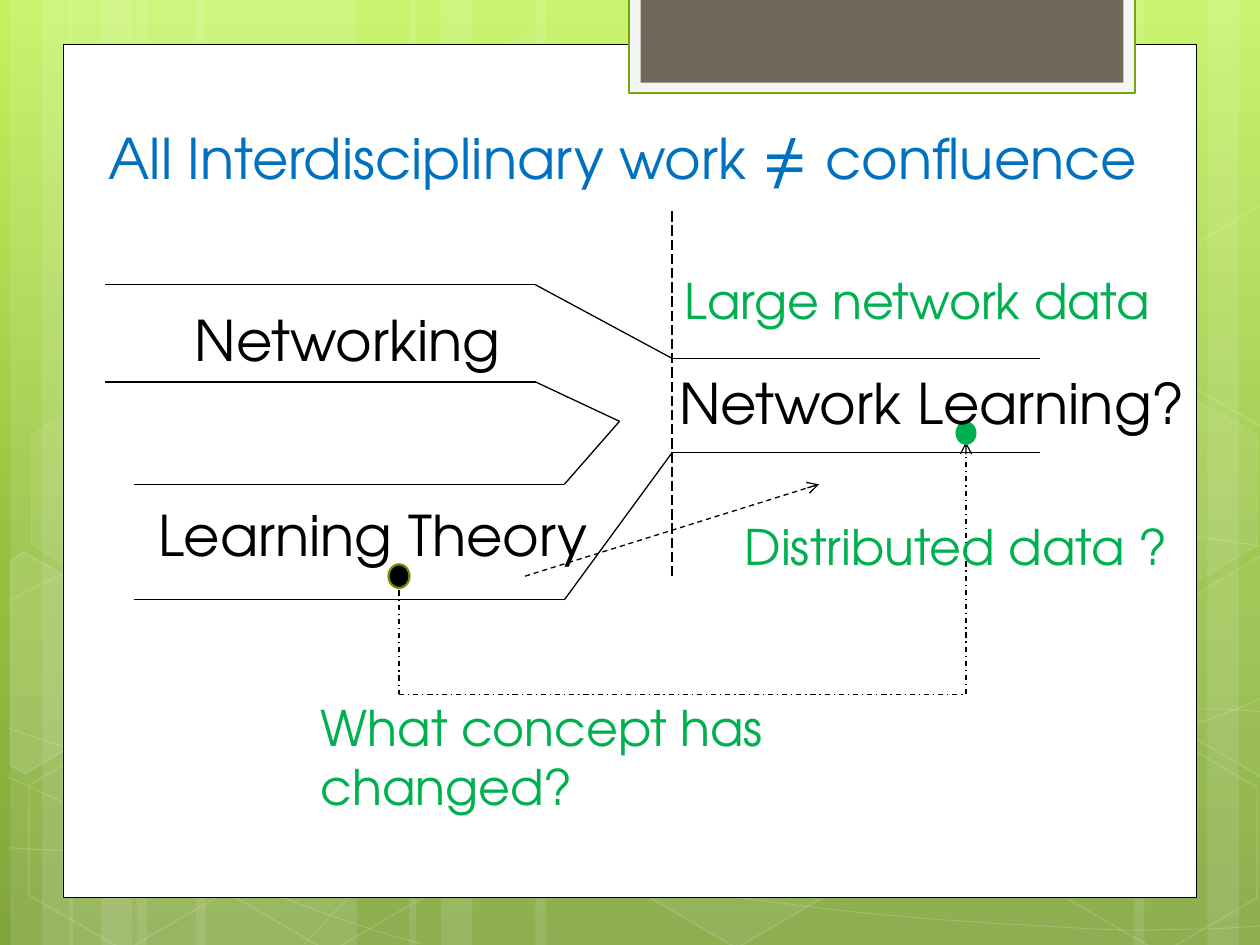
import dataclasses
import itertools
import math

import lxml.etree
import pptx
import pptx.dml.color
import pptx.enum.dml
import pptx.enum.shapes
import pptx.enum.text
import pptx.oxml.ns
import pptx.util

SCALE = pptx.util.Inches(1) // 96
SHAPE = pptx.enum.shapes.MSO_SHAPE
DASH = pptx.enum.dml.MSO_LINE


@dataclasses.dataclass(frozen=True)
class Theme:
    """Colours, type sizes and line widths of the deck."""

    white: str = "FFFFFF"
    black: str = "000000"
    green: str = "00B050"
    blue: str = "0070C0"
    mount: str = "F5F5F5"
    mount_edge: str = "74A510"
    tab: str = "71685A"
    dot_edge: str = "6D9200"
    sky: tuple = ((0, "C3F35F"), (62, "93BF3F"), (100, "81A53E"))
    font: str = "TeX Gyre Adventor"
    large: int = 32
    small: int = 28
    symbol: int = 36
    hair: float = 0.5
    rule: float = 0.75
    glass: float = 1
    edge: float = 1.25


@dataclasses.dataclass(frozen=True)
class Box:
    """A region in px that turns its own coordinates into EMU."""

    left: int
    top: int
    width: int
    height: int

    def point(self, x, y):
        """Return a point of the region in EMU."""
        return round((self.left + x) * SCALE), round((self.top + y) * SCALE)

    def area(self, x, y, width, height):
        """Return a rectangle of the region in EMU."""
        return *self.point(x, y), width * SCALE, height * SCALE

    def whole(self):
        """Return the entire region in EMU."""
        return self.area(0, 0, self.width, self.height)


THEME = Theme()


def add_node(parent, tag, **values):
    """Append one drawing element to a parent."""
    return lxml.etree.SubElement(parent, pptx.oxml.ns.qn(tag), values)


def paint(fill, color, alpha=100):
    """Give a fill a solid colour with an opacity in percent."""
    fill.solid()
    fill.fore_color.rgb = pptx.dml.color.RGBColor.from_string(color)
    if alpha < 100:
        node = fill._xPr.find(".//" + pptx.oxml.ns.qn("a:srgbClr"))
        add_node(node, "a:alpha", val=str(alpha * 1000))


def dress(shape, fill=None, fill_alpha=100, line=None, width=1, line_alpha=100):
    """Set the fill and outline of a shape and drop its shadow."""
    shape.shadow.inherit = False
    for part, color, alpha in ((shape.fill, fill, fill_alpha), (shape.line.fill, line, line_alpha)):
        if color:
            paint(part, color, alpha)
        else:
            part.background()
    if line:
        shape.line.width = pptx.util.Pt(width)


def add_outline(page, box, points, closed=False):
    """Draw a freeform through the points of a box."""
    start, *rest = [box.point(*point) for point in points]
    builder = page.shapes.build_freeform(*start)
    builder.add_line_segments(rest, close=closed)
    return builder.convert_to_shape()


def bend(shape):
    """Turn each three straight segments of a freeform into one cubic curve."""
    segments = list(shape.element.iter(pptx.oxml.ns.qn("a:lnTo")))
    for first in range(0, len(segments), 3):
        curve = add_node(segments[first].getparent(), "a:cubicBezTo")
        for segment in segments[first:first + 3]:
            curve.append(segment[0])
            segment.getparent().remove(segment)


def turn(points, pivot, degrees):
    """Rotate points clockwise about a pivot."""
    sine, cosine = math.sin(math.radians(degrees)), math.cos(math.radians(degrees))
    offsets = [(x - pivot[0], y - pivot[1]) for x, y in points]
    return [(pivot[0] + x * cosine - y * sine, pivot[1] + x * sine + y * cosine) for x, y in offsets]


def add_route(page, box, points, dash=None, arrow=False):
    """Join points with straight connectors, the last with an arrowhead on request."""
    for start, end in itertools.pairwise(points):
        link = page.shapes.add_connector(
            pptx.enum.shapes.MSO_CONNECTOR.STRAIGHT, *box.point(*start), *box.point(*end))
        paint(link.line.fill, THEME.black)
        link.line.width = pptx.util.Pt(THEME.rule)
        if dash:
            link.line.dash_style = dash
        if arrow and end == points[-1]:
            add_node(link.line._get_or_add_ln(), "a:tailEnd", type="arrow")
        add_node(link.element.spPr, "a:effectLst")


def write(shape, spans, color, wrap, indent=0):
    """Fill a shape with one left-aligned paragraph of sized spans."""
    layout = {"word_wrap": wrap, "auto_size": pptx.enum.text.MSO_AUTO_SIZE.NONE,
              "vertical_anchor": pptx.enum.text.MSO_ANCHOR.TOP}
    for name, value in layout.items():
        setattr(shape.text_frame, name, value)
    para = shape.text_frame.paragraphs[0]
    para.alignment = pptx.enum.text.PP_ALIGN.LEFT
    if indent:
        para._p.get_or_add_pPr().set("marL", str(indent * SCALE))
    for text, size in spans:
        span = para.add_run()
        span.text = text
        for name, value in {"name": THEME.font, "size": pptx.util.Pt(size)}.items():
            setattr(span.font, name, value)
        paint(span.font.fill, color)


def draw_background(page):
    """Fill the page with the vertical green gradient."""
    fill = page.background.fill
    fill.gradient()
    fill.gradient_angle = 270
    stops = page.element.find(".//" + pptx.oxml.ns.qn("a:gsLst"))
    stops.clear()
    for place, color in THEME.sky:
        add_node(add_node(stops, "a:gs", pos=str(place * 1000)), "a:srgbClr", val=color)


def draw_bands(page, box):
    """Lay translucent vertical bands over the box."""
    bands = ((104, 168), (8, 48), (32, 80), (149, 168), (53, 48), (77, 80),
             (704, 168), (920, 48), (864, 80), (408, 296), (312, 48), (336, 80))
    for left, width in bands:
        band = page.shapes.add_shape(SHAPE.RECTANGLE, *box.area(left, 0, width, box.height))
        dress(band, THEME.white, 10)


def draw_curves(page, box):
    """Sweep faint curves across the box."""
    curves = (
        ((7, 646), (59, 649), (110, 652), (182, 651), (254, 650), (344, 648), (440, 638),
         (536, 629), (672, 611), (760, 592), (848, 574), (938, 545), (967, 529)),
        ((7, 458), (35, 443), (62, 428), (116, 414), (171, 399), (249, 378), (333, 372),
         (419, 365), (522, 364), (628, 372), (733, 379), (909, 409), (967, 417)),
        ((6, 592), (122, 645), (237, 698), (321, 719)),
        ((7, 555), (36, 565), (67, 576), (123, 591), (179, 606), (262, 630), (343, 646),
         (422, 662), (523, 680), (603, 689), (683, 700), (768, 704), (819, 707),
         (869, 710), (882, 708), (907, 708), (932, 708), (949, 706), (967, 705)),
        ((232, 719), (250, 700), (267, 681), (290, 663), (313, 646), (346, 627), (372, 613),
         (399, 600), (416, 594), (451, 585), (486, 575), (550, 562), (584, 555),
         (618, 548), (623, 548), (653, 546), (683, 543), (730, 540), (762, 540),
         (796, 539), (851, 540), (851, 540), (872, 540), (893, 540), (915, 540),
         (932, 540), (948, 541), (957, 542), (966, 543), (963, 542), (966, 543)),
    )
    for points in curves:
        curve = add_outline(page, box, points)
        bend(curve)
        dress(curve, line=THEME.white, width=THEME.hair, line_alpha=20)


def draw_hexagons(page, box):
    """Scatter whole and cut glass hexagons over the box."""
    whole = ((321, 35, 4, 8), (477, 565, 6, 12), (11, 567, 0, 12), (13, 300, 7, 8),
             (167, 568, 0, 12), (723, 435, 10, 12), (801, 569, 0, 12), (801, 301, 7, 8))
    right = ((889, 466), (961, 423), (969, 428), (969, 588), (962, 592), (889, 550))
    cut = ((((8, 427), (18, 420), (92, 463), (91, 547), (19, 589), (8, 583)), (35, 514), 10),
           (right, (946, 499), 4), ([(x, y - 267) for x, y in right], (946, 232), 0))
    cells = []
    for left, top, fill_alpha, line_alpha in whole:
        cell = page.shapes.add_shape(SHAPE.HEXAGON, *box.area(left, top, 168, 146))
        cell.adjustments[0] = 0.285
        cells.append((cell, fill_alpha, line_alpha))
    for points, pivot, fill_alpha in cut:
        cells.append((add_outline(page, box, turn(points, pivot, -30), True), fill_alpha, 12))
    for cell, fill_alpha, line_alpha in cells:
        cell.rotation = 30
        dress(cell, fill_alpha and THEME.white, fill_alpha, THEME.white, THEME.glass, line_alpha)


def draw_panel(page, box):
    """Place the white panel with the tab hanging over its top edge."""
    panel = page.shapes.add_shape(SHAPE.RECTANGLE, *box.whole())
    dress(panel, THEME.white, line=THEME.black, width=THEME.hair)
    mount = page.shapes.add_shape(SHAPE.RECTANGLE, *box.area(431, -36, 386, 73))
    dress(mount, THEME.mount, line=THEME.mount_edge, width=THEME.edge)
    tab = page.shapes.add_shape(SHAPE.RECTANGLE, *box.area(440, -36, 368, 65))
    dress(tab, THEME.tab)


def draw_title(page, box):
    """Move the title placeholder to the box, in front, and fill it."""
    title = page.shapes.title
    title.element.getparent().append(title.element)
    title.left, title.top, title.width, title.height = box.whole()
    spans = (("All Interdisciplinary work ", THEME.large), ("≠ ", THEME.symbol),
             ("confluence", THEME.large))
    write(title, spans, THEME.blue, True, 12)


def draw_streams(page, box):
    """Draw two streams that flow into one, with the divider and the concept trail."""
    walls = (((4, 67), (332, 67), (436, 123), (716, 123)),
             ((4, 141), (332, 141), (396, 171), (354, 219), (26, 219)),
             ((26, 307), (354, 307), (436, 195), (716, 195)))
    for wall in walls:
        add_route(page, box, wall)
    add_route(page, box, ((436, 11), (436, 289)), DASH.LONG_DASH)
    add_route(page, box, ((324, 289), (548, 219)), DASH.DASH, True)
    add_route(page, box, ((228, 289), (228, 379), (660, 379), (660, 187)), DASH.DASH_DOT, True)
    for left, top, fill, line in ((220, 280, THEME.black, THEME.dot_edge), (652, 171, THEME.green, None)):
        dot = page.shapes.add_shape(SHAPE.OVAL, *box.area(left, top, 16, 18))
        dress(dot, fill, line=line, width=THEME.edge)


def draw_labels(page, box):
    """Name the streams in black and the open questions in green."""
    names = (THEME.large, THEME.black, 61)
    questions = (THEME.small, THEME.green, 55)
    labels = (("Networking", 63, 78, 256, names, False, 0),
              ("Learning Theory", 35, 227, 348, names, False, 0),
              ("Network Learning?", 396, 126, 446, names, False, 36),
              ("Large network data", 436, 51, 430, questions, True, 0),
              ("Distributed data ?", 482, 239, 347, questions, False, 0),
              ("What concept has changed?", 159, 377, 451, questions, True, 0))
    for text, left, top, width, (size, color, height), wrap, indent in labels:
        label = page.shapes.add_textbox(*box.area(left, top, width, height))
        write(label, ((text, size),), color, wrap, indent)


def main():
    """Build the deck and save it."""
    deck = pptx.Presentation()
    deck.slide_width, deck.slide_height = 960 * SCALE, 720 * SCALE
    page = deck.slides.add_slide(deck.slide_layouts[5])
    draw_background(page)
    for draw in (draw_bands, draw_curves, draw_hexagons):
        draw(page, Box(0, 0, 960, 720))
    draw_panel(page, Box(48, 34, 864, 650))
    for draw in (draw_streams, draw_labels):
        draw(page, Box(76, 150, 880, 480))
    draw_title(page, Box(61, 84, 896, 68))
    deck.save("out.pptx")


if __name__ == "__main__":
    main()
